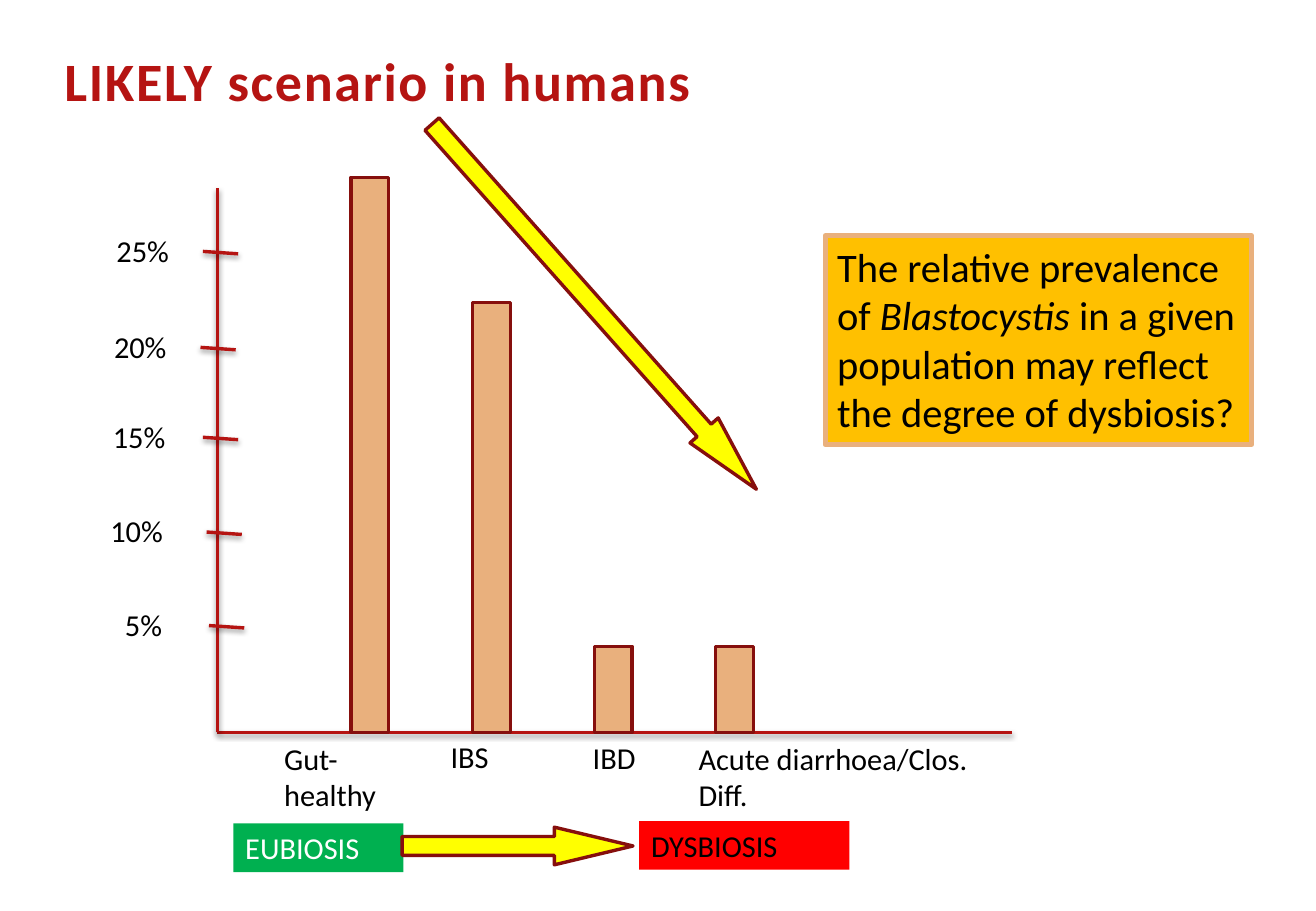
from dataclasses import dataclass
from typing import Optional

from lxml import etree
from pptx import Presentation
from pptx.dml.color import RGBColor
from pptx.enum.shapes import MSO_CONNECTOR, MSO_SHAPE
from pptx.enum.text import MSO_ANCHOR, MSO_AUTO_SIZE, PP_ALIGN
from pptx.oxml import parse_xml
from pptx.util import Inches, Pt

STRAIGHT = MSO_CONNECTOR.STRAIGHT
RECTANGLE = MSO_SHAPE.RECTANGLE
RIGHT_ARROW = MSO_SHAPE.RIGHT_ARROW
MIDDLE = MSO_ANCHOR.MIDDLE
LEFT = PP_ALIGN.LEFT
NO_AUTOFIT = MSO_AUTO_SIZE.NONE

RED = RGBColor(0xB5, 0x14, 0x12)
DARK_RED = RGBColor(0x86, 0x0F, 0x0D)
TAN = RGBColor(0xE9, 0xB0, 0x7D)
YELLOW = RGBColor(0xFF, 0xFF, 0x00)
AMBER = RGBColor(0xFF, 0xC0, 0x00)
GREEN = RGBColor(0x00, 0xB0, 0x50)
BRIGHT_RED = RGBColor(0xFF, 0x00, 0x00)
BLACK = RGBColor(0x00, 0x00, 0x00)
WHITE = RGBColor(0xFF, 0xFF, 0xFF)

FONT = "Calibri"
CELL = Inches(1)  # one grid column or row, equal to the bar spacing
COLUMNS, ROWS = 10.83, 7.5

AXIS_LEFT, AXIS_RIGHT = 1.79, 8.33
AXIS_TOP, BASELINE = 1.55, 6.03
FIRST_BAR, BAR_WIDTH = 2.89, 0.31
BAR_HEIGHTS = (4.57, 3.54, 0.71, 0.71)
TICK_LENGTH, TICK_DROP = 0.29, 0.02
LABEL_WIDTH, LABEL_HEIGHT, LABEL_RISE = 1.1, 0.4, 0.21

SHADOW = (
    '<a:effectLst xmlns:a="http://schemas.openxmlformats.org/drawingml/2006/main">'
    '<a:outerShdw blurRad="39370" dist="20320" dir="5400000" rotWithShape="0">'
    '<a:srgbClr val="000000"><a:alpha val="38000"/></a:srgbClr>'
    "</a:outerShdw></a:effectLst>"
)


@dataclass(frozen=True)
class Area:
    left: float
    top: float
    width: float
    height: float

    def lengths(self) -> tuple:
        return tuple(round(n * CELL) for n in (self.left, self.top, self.width, self.height))


@dataclass(frozen=True)
class Span:
    text: str
    italic: bool = False


@dataclass(frozen=True)
class Tick:
    label: str
    label_left: float
    left: float
    top: float


@dataclass(frozen=True)
class Caption:
    area: Area
    spans: tuple
    size: int = 18
    color: RGBColor = BLACK
    fill: Optional[RGBColor] = None
    border: Optional[RGBColor] = None


TICKS = (
    Tick("25%", 0.86, 1.67, 2.07),
    Tick("20%", 0.84, 1.65, 2.86),
    Tick("15%", 0.83, 1.67, 3.6),
    Tick("10%", 0.81, 1.7, 4.38),
    Tick("5%", 0.93, 1.72, 5.15),
)

CAPTIONS = (
    # Patient groups
    Caption(Area(2.24, 6.04, 1.37, 0.71), (Span("Gut-healthy"),)),
    Caption(Area(3.61, 6.03, 1.18, 0.4), (Span("IBS"),)),
    Caption(Area(4.78, 6.04, 1.03, 0.4), (Span("IBD"),)),
    Caption(Area(5.65, 6.04, 2.65, 0.71), (Span("Acute diarrhoea/Clos. Diff."),)),
    # Gut states
    Caption(Area(1.92, 6.78, 1.4, 0.4), (Span("EUBIOSIS"),), color=WHITE, fill=GREEN),
    Caption(Area(5.26, 6.76, 1.73, 0.4), (Span("DYSBIOSIS"),), fill=BRIGHT_RED),
    # Conclusion
    Caption(
        Area(6.79, 1.94, 3.51, 1.72),
        (
            Span("The relative prevalence of "),
            Span("Blastocystis", italic=True),
            Span(" in a given population may reflect the degree of dysbiosis?"),
        ),
        size=24, fill=AMBER, border=TAN,
    ),
)


def add_line(page, x1: float, y1: float, x2: float, y2: float) -> None:
    line = page.shapes.add_connector(STRAIGHT, *(round(n * CELL) for n in (x1, y1, x2, y2)))
    line.line.color.rgb = RED
    line.line.width = Pt(2)
    line._element.spPr.append(parse_xml(SHADOW))


def add_block(page, kind, area: Area, fill: RGBColor):
    block = page.shapes.add_shape(kind, *area.lengths())
    block.shadow.inherit = False
    block.fill.solid()
    block.fill.fore_color.rgb = fill
    block.line.color.rgb = DARK_RED
    block.line.width = Pt(2)
    return block


def add_arrow(page, area: Area, rotation: float = 0) -> None:
    arrow = add_block(page, RIGHT_ARROW, area, YELLOW)
    arrow.adjustments[0] = 0.5
    arrow.adjustments[1] = 2.09
    arrow.rotation = rotation


def add_caption(page, caption: Caption) -> None:
    box = page.shapes.add_textbox(*caption.area.lengths())
    box.text_frame.word_wrap = True
    if caption.fill is not None:
        box.fill.solid()
        box.fill.fore_color.rgb = caption.fill
    if caption.border is not None:
        box.line.color.rgb = caption.border
        box.line.width = Pt(3)
    para = box.text_frame.paragraphs[0]
    for span in caption.spans:
        run = para.add_run()
        run.text = span.text
        run.font.name = FONT
        run.font.size = Pt(caption.size)
        run.font.color.rgb = caption.color
        run.font.italic = span.italic


def set_title(page, text: str) -> None:
    title = page.shapes.title
    title.left, title.top, title.width, title.height = Area(0.53, 0.34, 10.02, 0.64).lengths()
    frame = title.text_frame
    frame.margin_left = frame.margin_right = frame.margin_top = frame.margin_bottom = 0
    frame.vertical_anchor = MIDDLE
    frame.auto_size = NO_AUTOFIT
    para = frame.paragraphs[0]
    para.alignment = LEFT
    run = para.add_run()
    run.text = text
    run.font.name = FONT
    run.font.size = Pt(32)
    run.font.bold = True
    run.font.color.rgb = RED
    run.font._element.set("spc", "100")


def main() -> None:
    deck = Presentation()
    deck.slide_width, deck.slide_height = round(COLUMNS * CELL), round(ROWS * CELL)
    page = deck.slides.add_slide(deck.slide_layouts[5])
    set_title(page, "LIKELY scenario in humans")

    # Axes
    add_line(page, AXIS_LEFT, BASELINE, AXIS_RIGHT, BASELINE)
    add_line(page, AXIS_LEFT, BASELINE, AXIS_LEFT, AXIS_TOP)

    # Bars, one per grid column
    for column, height in enumerate(BAR_HEIGHTS):
        area = Area(FIRST_BAR + column, BASELINE - height, BAR_WIDTH, height)
        add_block(page, RECTANGLE, area, TAN)

    # Scale
    for tick in TICKS:
        add_line(page, tick.left, tick.top, tick.left + TICK_LENGTH, tick.top + TICK_DROP)
        area = Area(tick.label_left, tick.top - LABEL_RISE, LABEL_WIDTH, LABEL_HEIGHT)
        add_caption(page, Caption(area, (Span(tick.label),)))

    # Trend arrow, captions and the arrow between gut states
    add_arrow(page, Area(2.88, 2.37, 4.02, 0.31), rotation=48.4)
    for caption in CAPTIONS:
        add_caption(page, caption)
    add_arrow(page, Area(3.31, 6.81, 1.9, 0.31))

    deck.save("out.pptx")


if __name__ == "__main__":
    main()
